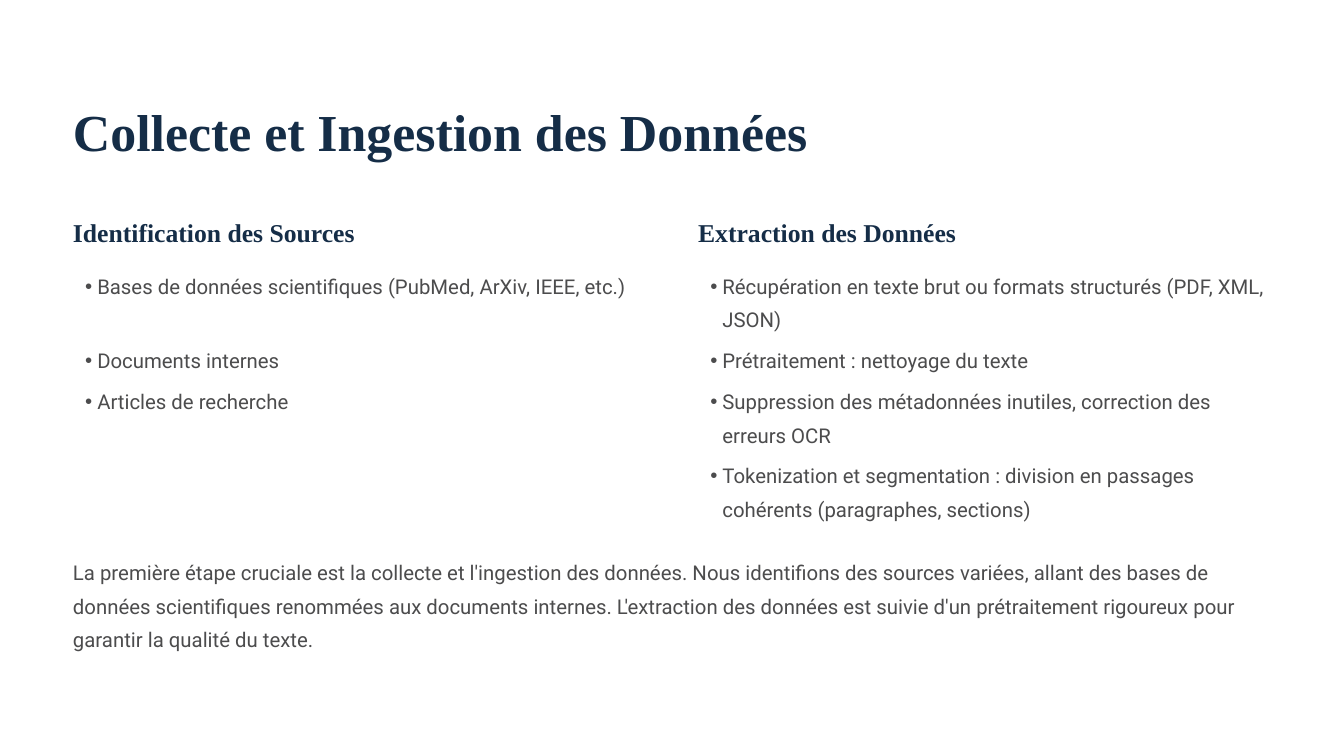
from dataclasses import dataclass

from lxml import etree
from pptx import Presentation
from pptx.dml.color import RGBColor
from pptx.enum.shapes import MSO_SHAPE
from pptx.enum.text import MSO_ANCHOR, MSO_AUTO_SIZE, PP_ALIGN
from pptx.oxml.ns import qn
from pptx.util import Pt

RECT = MSO_SHAPE.RECTANGLE
TOP = MSO_ANCHOR.TOP
NO_FIT = MSO_AUTO_SIZE.NONE
LEFT = PP_ALIGN.LEFT


@dataclass(frozen=True)
class Style:
    """Format of one kind of text."""
    name: str
    size: float
    color: str
    bold: bool
    leading: float


@dataclass(frozen=True)
class Theme:
    """Colours, type sizes and spacing of the slide."""
    paper: str = "FFFFFF"
    title: Style = Style("Times New Roman", 55.6, "152D47", True, 69.4)
    heading: Style = Style("Times New Roman", 27.5, "152D47", True, 34.4)
    body: Style = Style("Roboto", 21.8, "4C4C4D", False, 35.65)
    item_gap: float = 8.2
    bullet_font: str = "Arial"
    bullet_left: float = 26
    bullet_hang: float = 13


THEME = Theme()
SLIDE_W, SLIDE_H = 1440, 810
MARGIN = 78.2
COLUMN_W = 615
COLUMN_STEP = 669.8
HEADING_H = 40
LIST_OFFSET = 54

COLUMNS = [
    ("Identification des Sources",
     ["Bases de données scientifiques (PubMed, ArXiv, IEEE, etc.)",
      "Documents internes",
      "Articles de recherche"],
     [0, THEME.item_gap + THEME.body.leading, THEME.item_gap]),
    ("Extraction des Données",
     ["Récupération en texte brut ou formats structurés (PDF, XML, JSON)",
      "Prétraitement : nettoyage du texte",
      "Suppression des métadonnées inutiles, correction des erreurs OCR",
      "Tokenization et segmentation : division en passages cohérents "
      "(paragraphes, sections)"],
     [0] + [THEME.item_gap] * 3),
]
SUMMARY = (
    "La première étape cruciale est la collecte et l'ingestion des données. "
    "Nous identifions des sources variées, allant des bases de données "
    "scientifiques renommées aux documents internes. L'extraction des données "
    "est suivie d'un prétraitement rigoureux pour garantir la qualité du texte."
)


def set_attrs(obj, values):
    """Set each attribute of an object from a dict."""
    for key, value in values.items():
        setattr(obj, key, value)


def add_bullet(p):
    """Give a paragraph a hanging round bullet."""
    pPr = p._p.get_or_add_pPr()
    pPr.set("marL", str(Pt(THEME.bullet_left)))
    pPr.set("indent", str(-Pt(THEME.bullet_hang)))
    etree.SubElement(pPr, qn("a:buFont")).set("typeface", THEME.bullet_font)
    etree.SubElement(pPr, qn("a:buChar")).set("char", "•")


def fill_text(sp, box, texts, style, gaps=(0,), bullets=False):
    """Place a text shape in a box and write its paragraphs."""
    set_attrs(sp, dict(zip(("left", "top", "width", "height"), map(Pt, box))))
    tf = sp.text_frame
    set_attrs(tf, {"word_wrap": True, "auto_size": NO_FIT, "vertical_anchor": TOP,
                   "margin_left": 0, "margin_top": 0,
                   "margin_right": 0, "margin_bottom": 0})
    for i, (text, gap) in enumerate(zip(texts, gaps)):
        p = tf.add_paragraph() if i else tf.paragraphs[0]
        if bullets:
            add_bullet(p)
        set_attrs(p, {"alignment": LEFT, "line_spacing": Pt(style.leading),
                      "space_before": Pt(gap), "space_after": Pt(0)})
        r = p.add_run()
        r.text = text
        set_attrs(r.font, {"name": style.name, "size": Pt(style.size),
                           "bold": style.bold})
        r.font.color.rgb = RGBColor.from_string(style.color)


def add_panel(s, box):
    """Lay the plain panel behind all text."""
    sp = s.shapes.add_shape(RECT, *map(Pt, box))
    sp.shadow.inherit = False
    sp.fill.solid()
    sp.fill.fore_color.rgb = RGBColor.from_string(THEME.paper)
    sp.line.fill.background()
    s.shapes._spTree.insert(2, sp._element)


def add_title(s, box):
    """Write the slide title."""
    fill_text(s.shapes.title, box, ["Collecte et Ingestion des Données"], THEME.title)


def add_column(heading_sp, list_sp, box, heading, items, gaps):
    """Write a heading with its bullet list below."""
    x, y, w, h = box
    fill_text(heading_sp, (x, y, w, HEADING_H), [heading], THEME.heading)
    fill_text(list_sp, (x, y + LIST_OFFSET, w, h - LIST_OFFSET), items,
              THEME.body, gaps, bullets=True)


def add_summary(s, box):
    """Write the closing paragraph."""
    fill_text(s.shapes.add_textbox(0, 0, 0, 0), box, [SUMMARY], THEME.body)


def build_slide(prs):
    """Build the two-column slide."""
    s = prs.slides.add_slide(prs.slide_layouts.get_by_name("Comparison"))
    _, *holders = s.placeholders
    add_panel(s, (0, 0, SLIDE_W, SLIDE_H))
    add_title(s, (MARGIN, 103.7, 894, 84))
    pairs = zip(holders[::2], holders[1::2])
    for i, (pair, column) in enumerate(zip(pairs, COLUMNS)):
        box = (MARGIN + i * COLUMN_STEP, 230.4, COLUMN_W, 333)
        add_column(*pair, box, *column)
    add_summary(s, (MARGIN, 591, COLUMN_STEP + COLUMN_W, 112))


def main():
    """Create and save the presentation."""
    prs = Presentation()
    set_attrs(prs, {"slide_width": Pt(SLIDE_W), "slide_height": Pt(SLIDE_H)})
    build_slide(prs)
    prs.save("out.pptx")


if __name__ == "__main__":
    main()
